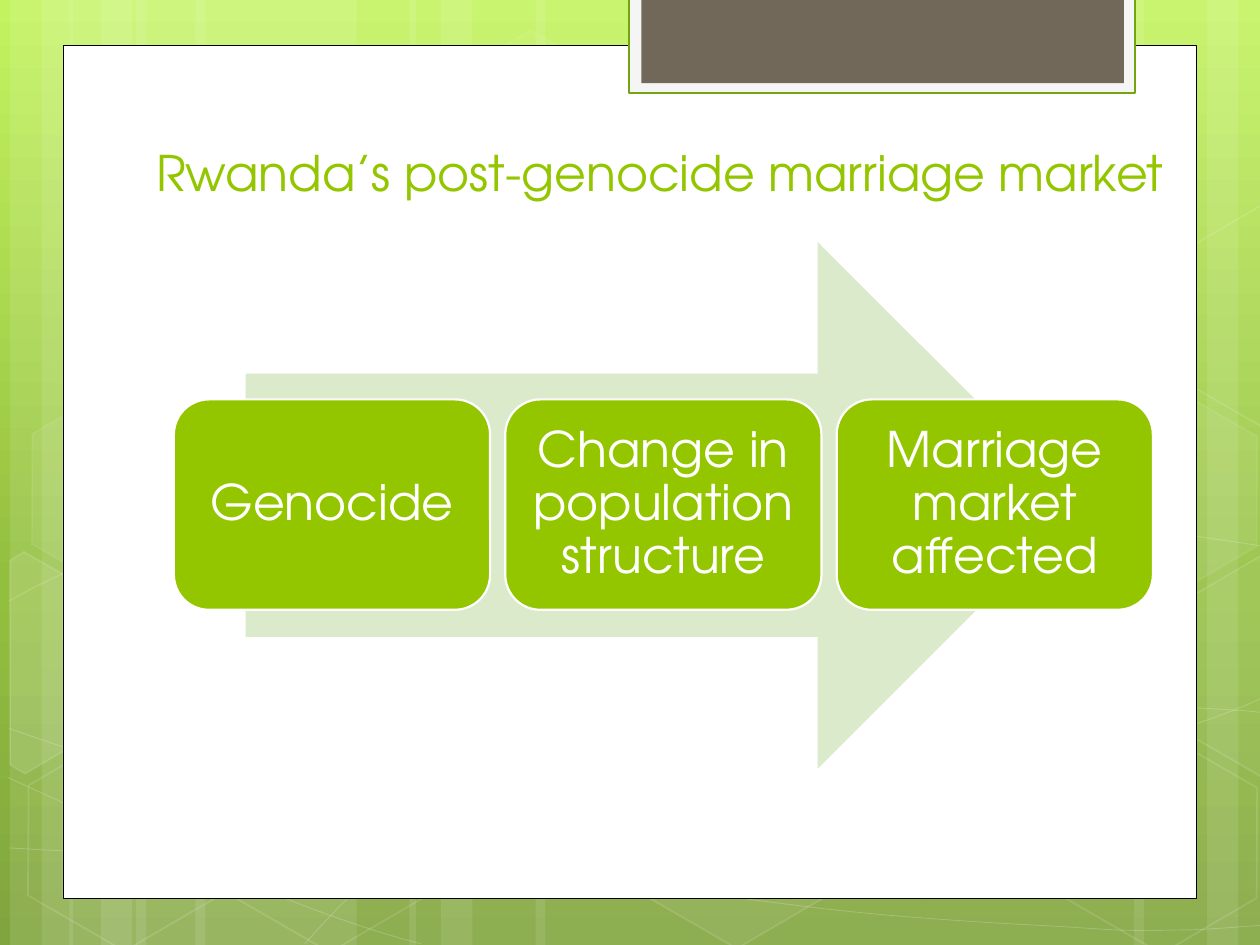
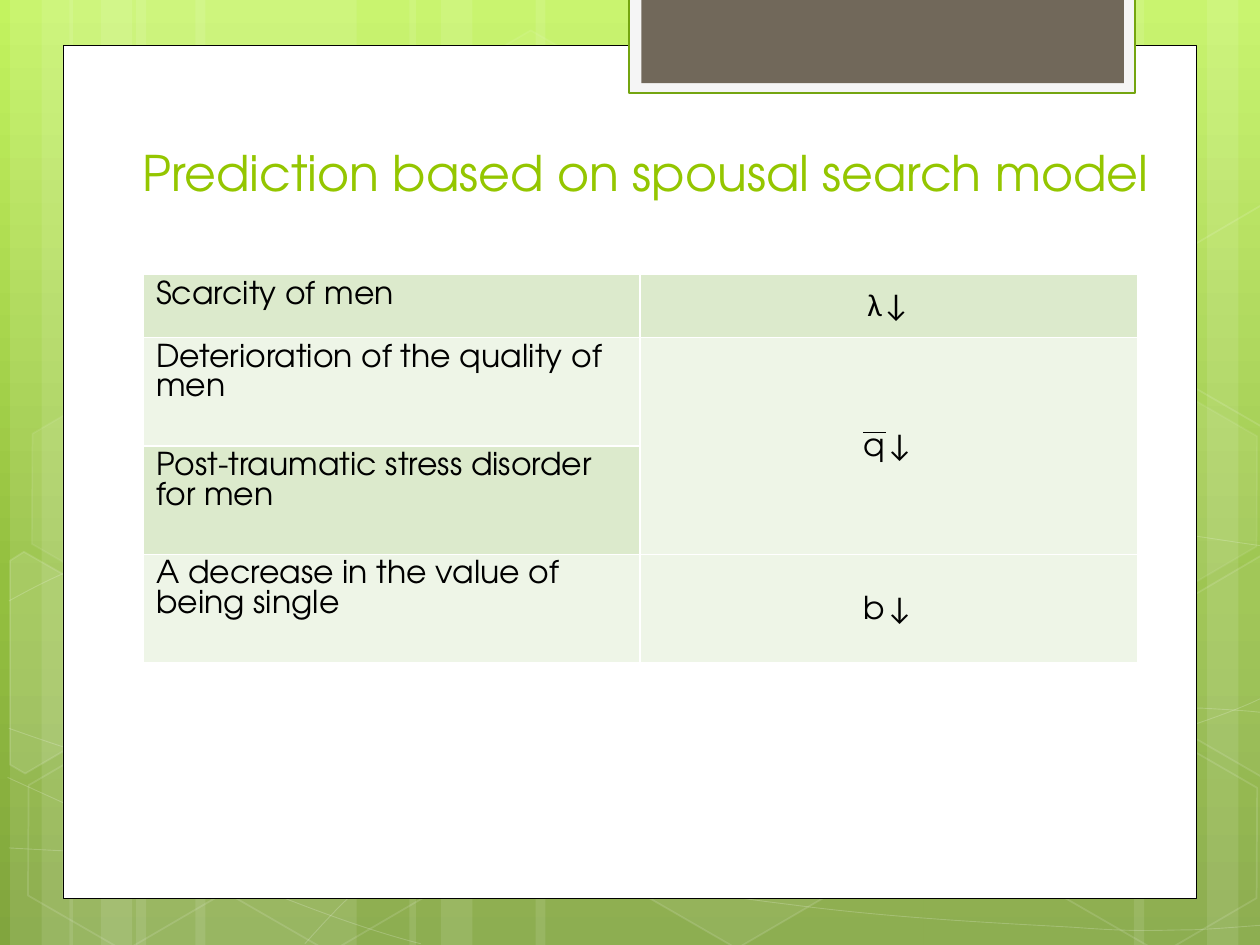
from dataclasses import dataclass
from typing import Any, Optional

from lxml.etree import SubElement
from pptx import Presentation
from pptx.dml.color import RGBColor
from pptx.enum.shapes import MSO_CONNECTOR as Connector, MSO_SHAPE as Shape
from pptx.enum.text import MSO_ANCHOR as Anchor, PP_ALIGN as Align
from pptx.oxml.ns import qn
from pptx.util import Emu, Pt

# Scale: 100 px to the inch
EMU_PER_PX = 9144
SLIDE_WIDTH, SLIDE_HEIGHT = 1000, 750

# Theme
WHITE = RGBColor(0xFF, 0xFF, 0xFF)
BLACK = RGBColor(0, 0, 0)
GREEN = RGBColor(0x94, 0xC6, 0x00)
TAB_EDGE = RGBColor(0x74, 0xA5, 0x10)
TAB_PAPER = RGBColor(0xF5, 0xF5, 0xF5)
TAB_BROWN = RGBColor(0x71, 0x68, 0x5A)
PALE_GREEN = RGBColor(0xDC, 0xEA, 0xCC)
FAINT_GREEN = RGBColor(0xEE, 0xF5, 0xE7)
BACKGROUND_STOPS = ((0, "C3F35F"), (62, "93BF3F"), (100, "81A53E"))
HEADING_FONT, SYMBOL_FONT = "TeX Gyre Adventor", "Calibri"


@dataclass(frozen=True)
class Box:
    left: int
    top: int
    width: int
    height: int

    def emu(self) -> tuple:
        return tuple(px(value) for value in (self.left, self.top, self.width, self.height))


@dataclass(frozen=True)
class Look:
    fill: Optional[RGBColor] = None
    fill_opacity: int = 100
    line: Optional[RGBColor] = None
    line_width: float = 1
    line_opacity: int = 100


@dataclass(frozen=True)
class TextStyle:
    size: int
    color: RGBColor
    align: Align = Align.LEFT
    spacing: float = 1.0


@dataclass(frozen=True)
class Hexagon:
    left: int
    top: int
    fill_opacity: int = 0
    line_opacity: int = 12


@dataclass(frozen=True)
class Outline:
    points: tuple
    fill_opacity: int = 0


# Backdrop: stripes as (left, width), curves as chains of cubic control points
STRIPES = (
    (108, 175), (8, 50), (33, 83), (155, 175), (55, 50), (80, 83),
    (733, 175), (958, 50), (900, 83), (425, 308), (325, 50), (350, 83),
)
CURVES = (
    ((7, 673), (61, 676), (115, 679), (190, 678), (265, 677), (358, 675), (458, 665),
     (558, 655), (700, 636), (792, 617), (883, 598), (977, 568), (1007, 551)),
    ((7, 477), (36, 461), (65, 446), (121, 431), (178, 416), (259, 394), (347, 387),
     (436, 380), (544, 379), (654, 387), (764, 395), (947, 426), (1007, 434)),
    ((6, 617), (127, 672), (247, 727), (334, 749)),
    ((7, 578), (38, 589), (70, 600), (128, 616), (186, 631), (273, 656), (357, 673),
     (440, 690), (545, 708), (628, 718), (711, 729), (800, 733), (853, 736),
     (905, 740), (919, 738), (945, 738), (971, 737), (989, 735), (1007, 734)),
    ((242, 749), (260, 729), (278, 709), (302, 691), (326, 673), (360, 653), (388, 639),
     (416, 625), (433, 619), (470, 609), (506, 599), (573, 585), (608, 578),
     (644, 571), (649, 571), (680, 569), (711, 566), (760, 563), (794, 562),
     (829, 561), (886, 562), (886, 562), (886, 562), (953, 562), (953, 562),
     (971, 563), (988, 564), (997, 565), (1006, 566), (1003, 565), (1006, 566)),
)
HEXAGONS = (
    Hexagon(334, 36, 4, 8), Hexagon(497, 589, 6), Hexagon(11, 591),
    Hexagon(14, 312, 7, 8), Hexagon(174, 592), Hexagon(753, 453, 10),
    Hexagon(834, 593), Hexagon(834, 314, 7, 8),
)
CUT_HEXAGONS = (
    Outline(((8, 445), (19, 438), (96, 482), (95, 570), (20, 614), (8, 607)), 10),
    Outline(((926, 485), (1001, 441), (1009, 446), (1009, 613), (1002, 617), (926, 573)), 4),
    Outline(((926, 207), (1001, 163), (1010, 168), (1009, 335), (1002, 339), (926, 295))),
)
FRAME = (
    (Box(50, 36, 900, 677), Look(WHITE, line=BLACK, line_width=0.5)),
    (Box(499, -2, 402, 76), Look(TAB_PAPER, line=TAB_EDGE, line_width=1.25)),
    (Box(509, -2, 383, 68), Look(TAB_BROWN)),
)
TITLE_STYLE = TextStyle(28, GREEN)

# Slide 1: steps along the arrow
STEPS = ("Genocide", "Change in population structure", "Marriage market affected")
STEP_STYLE = TextStyle(28, WHITE, Align.CENTER, 0.9)
STEP_LOOK = Look(GREEN, line=WHITE, line_width=1.25)
STEP_PITCH = 263

# Slide 2: cause, and the runs of its effect (None joins the cell above)
PREDICTIONS = (
    ("Scarcity of men", (("λ↓", SYMBOL_FONT),), PALE_GREEN),
    ("Deterioration of the quality of men",
     (("q", HEADING_FONT), ("↓", SYMBOL_FONT)), FAINT_GREEN),
    ("Post-traumatic stress disorder for men", None, PALE_GREEN),
    ("A decrease in the value of being single",
     (("b", HEADING_FONT), ("↓", SYMBOL_FONT)), FAINT_GREEN),
)
ROW_HEIGHTS = (50, 86, 86, 86)
COLUMN_WIDTHS = (394, 395)
CAUSE_STYLE = TextStyle(18, BLACK)
EFFECT_STYLE = TextStyle(18, BLACK, Align.CENTER)


# Helpers
def px(value: int) -> Emu:
    return Emu(value * EMU_PER_PX)


def apply_format(target: Any, values: dict) -> None:
    for name, value in values.items():
        setattr(target, name, value)


def set_opacity(element: Any, percent: int) -> None:
    if percent < 100:
        color = element.find(".//" + qn("a:srgbClr"))
        SubElement(color, qn("a:alpha"), val=str(percent * 1000))


def apply_look(shape: Any, look: Look) -> None:
    shape.shadow.inherit = False
    properties = shape.element.spPr
    if look.fill is None or look.fill_opacity == 0:
        shape.fill.background()
    else:
        shape.fill.solid()
        shape.fill.fore_color.rgb = look.fill
        set_opacity(properties.find(qn("a:solidFill")), look.fill_opacity)
    if look.line is None:
        shape.line.fill.background()
    else:
        shape.line.color.rgb = look.line
        shape.line.width = Pt(look.line_width)
        set_opacity(properties.find(qn("a:ln")), look.line_opacity)


def add_preset(slide: Any, kind: Shape, box: Box, look: Look) -> Any:
    shape = slide.shapes.add_shape(kind, *box.emu())
    apply_look(shape, look)
    return shape


def add_outline(slide: Any, points: tuple, look: Look, closed: bool) -> Any:
    start, *rest = points
    builder = slide.shapes.build_freeform(*start, scale=EMU_PER_PX)
    builder.add_line_segments(rest, close=closed)
    shape = builder.convert_to_shape()
    apply_look(shape, look)
    return shape


def add_curve(slide: Any, chain: tuple, look: Look) -> None:
    shape = add_outline(slide, chain, look, closed=False)
    outline = shape.element.spPr.find(".//" + qn("a:path"))
    segments = outline.findall(qn("a:lnTo"))
    for first in range(0, len(segments), 3):
        cubic = SubElement(outline, qn("a:cubicBezTo"))
        for segment in segments[first:first + 3]:
            cubic.append(segment[0])
            outline.remove(segment)


def write_text(frame: Any, runs: tuple, style: TextStyle) -> None:
    paragraph = frame.paragraphs[0]
    apply_format(paragraph, {"alignment": style.align, "line_spacing": style.spacing})
    for text, font_name in runs:
        run = paragraph.add_run()
        run.text = text
        apply_format(run.font, {"name": font_name, "size": Pt(style.size), "bold": False})
        run.font.color.rgb = style.color


def add_borders(cell: Any, color: RGBColor) -> None:
    properties = cell._tc.get_or_add_tcPr()
    for side in ("a:lnL", "a:lnR", "a:lnT", "a:lnB"):
        line = SubElement(properties, qn(side), w=str(Pt(1)))
        fill = SubElement(line, qn("a:solidFill"))
        SubElement(fill, qn("a:srgbClr"), val=str(color))


# Shared slide parts
def add_background(slide: Any) -> None:
    fill = slide.background.fill
    fill.gradient()
    fill.gradient_angle = 270
    stops = slide.element.find(".//" + qn("a:gsLst"))
    for stop in list(stops):
        stops.remove(stop)
    for position, color in BACKGROUND_STOPS:
        stop = SubElement(stops, qn("a:gs"), pos=str(position * 1000))
        SubElement(stop, qn("a:srgbClr"), val=color)


def add_backdrop(slide: Any) -> None:
    for left, width in STRIPES:
        add_preset(slide, Shape.RECTANGLE, Box(left, 0, width, SLIDE_HEIGHT), Look(WHITE, 10))
    for chain in CURVES:
        add_curve(slide, chain, Look(line=WHITE, line_width=0.5, line_opacity=20))
    for item in HEXAGONS:
        look = Look(WHITE, item.fill_opacity, WHITE, 1, item.line_opacity)
        hexagon = add_preset(slide, Shape.HEXAGON, Box(item.left, item.top, 175, 152), look)
        hexagon.adjustments[0] = 0.285
        hexagon.rotation = 30
    for item in CUT_HEXAGONS:
        look = Look(WHITE, item.fill_opacity, WHITE, 1, 12)
        add_outline(slide, item.points, look, closed=True)
    for box, look in FRAME:
        add_preset(slide, Shape.RECTANGLE, box, look)


def add_titled_slide(presentation: Any, title: str, title_left: int) -> Any:
    slide = presentation.slides.add_slide(presentation.slide_layouts[6])
    add_background(slide)
    add_backdrop(slide)
    frame = slide.shapes.add_textbox(*Box(title_left, 113, 850, 52).emu()).text_frame
    apply_format(frame, {"word_wrap": True, "vertical_anchor": Anchor.BOTTOM})
    write_text(frame, ((title, HEADING_FONT),), TITLE_STYLE)
    return slide


# Slides
def build_marriage_market(presentation: Any) -> None:
    slide = add_titled_slide(presentation, "Rwanda’s post-genocide marriage market", 114)
    add_preset(slide, Shape.RIGHT_ARROW, Box(195, 192, 663, 418), Look(PALE_GREEN))
    inset = px(12)
    for index, step in enumerate(STEPS):
        box = Box(138 + index * STEP_PITCH, 317, 251, 167)
        frame = add_preset(slide, Shape.ROUNDED_RECTANGLE, box, STEP_LOOK).text_frame
        apply_format(frame, {
            "word_wrap": True, "vertical_anchor": Anchor.MIDDLE,
            "margin_left": inset, "margin_right": inset,
            "margin_top": inset, "margin_bottom": inset,
        })
        write_text(frame, ((step, HEADING_FONT),), STEP_STYLE)


def build_predictions(presentation: Any) -> None:
    slide = add_titled_slide(presentation, "Prediction based on spousal search model", 103)
    box = Box(114, 218, sum(COLUMN_WIDTHS), sum(ROW_HEIGHTS))
    table = slide.shapes.add_table(len(PREDICTIONS), 2, *box.emu()).table
    apply_format(table, {"first_row": False, "horz_banding": False})
    for column, width in zip(table.columns, COLUMN_WIDTHS):
        column.width = px(width)
    for index, (cause, effect, color) in enumerate(PREDICTIONS):
        table.rows[index].height = px(ROW_HEIGHTS[index])
        cause_cell, effect_cell = table.cell(index, 0), table.cell(index, 1)
        for cell in (cause_cell, effect_cell):
            add_borders(cell, WHITE)
            cell.fill.solid()
            cell.fill.fore_color.rgb = color
        write_text(cause_cell.text_frame, ((cause, HEADING_FONT),), CAUSE_STYLE)
        if effect is None:
            table.cell(index - 1, 1).merge(effect_cell)
        else:
            effect_cell.vertical_anchor = Anchor.MIDDLE
            write_text(effect_cell.text_frame, effect, EFFECT_STYLE)
    # Bar over the q
    bar = slide.shapes.add_connector(Connector.STRAIGHT, px(685), px(343), px(703), px(343))
    bar.line.color.rgb = BLACK
    bar.line.width = Pt(0.75)
    SubElement(bar.element.spPr, qn("a:effectLst"))


def main() -> None:
    presentation = Presentation()
    apply_format(presentation, {
        "slide_width": px(SLIDE_WIDTH), "slide_height": px(SLIDE_HEIGHT)})
    build_marriage_market(presentation)
    build_predictions(presentation)
    presentation.save("out.pptx")


if __name__ == "__main__":
    main()
